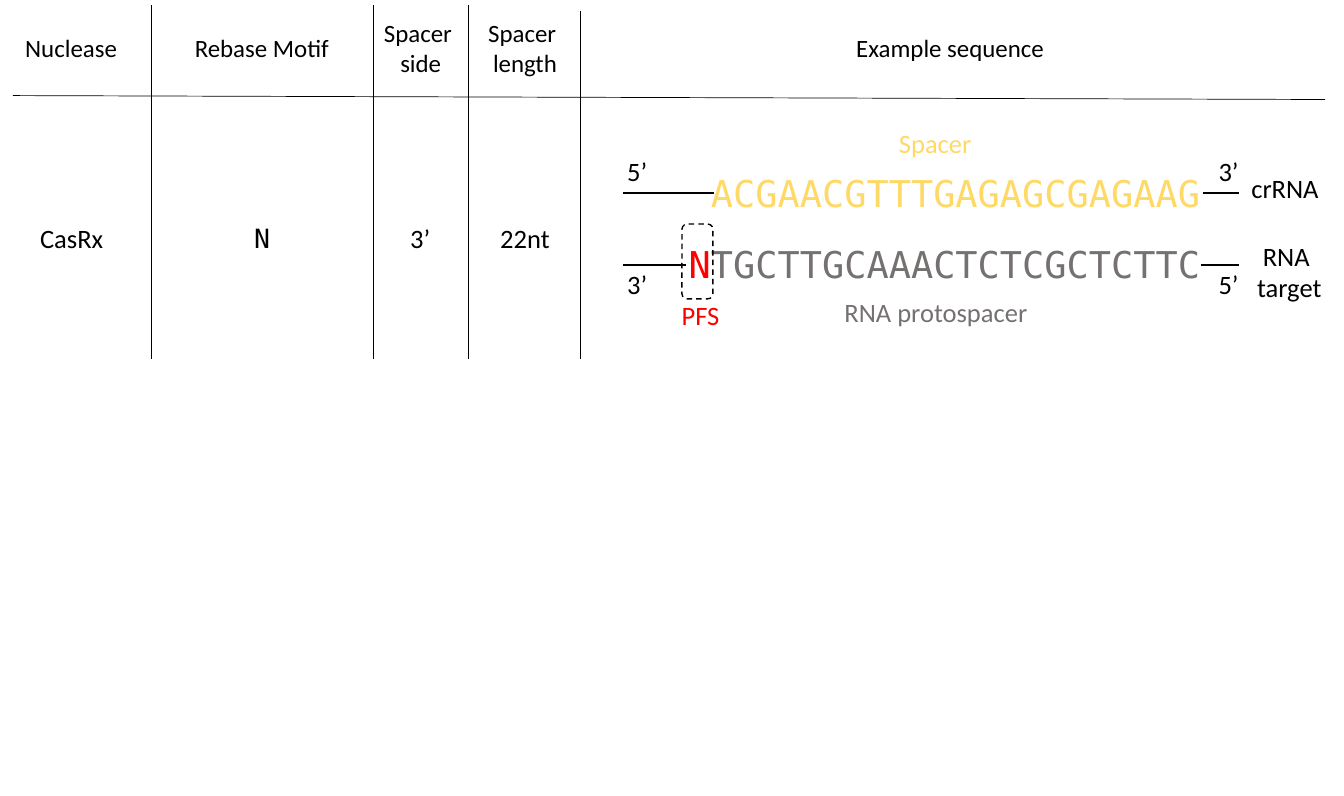
from lxml import etree
from pptx import Presentation
from pptx import util as u
from pptx.dml.color import RGBColor
from pptx.enum import dml, shapes, text
from pptx.oxml.ns import qn

BLACK = RGBColor(0x00, 0x00, 0x00)
RED = RGBColor(0xFF, 0x00, 0x00)
YELLOW = RGBColor(0xFF, 0xD9, 0x66)
GREY = RGBColor(0x76, 0x71, 0x71)

SANS, MONO = "Calibri", "DejaVu Sans Mono"
HEADER_SIZE, LABEL_SIZE, SEQUENCE_SIZE = 18, 19.2, 26.7
LINE_HEIGHT = 1.07
CENTER, LEFT = text.PP_ALIGN.CENTER, text.PP_ALIGN.LEFT


def add_label(slide, left, top, width, height, lines, size=LABEL_SIZE,
              color=BLACK, font=SANS, align=CENTER, wrap=True):
    """Add a text box; lines are joined as separate paragraphs."""
    box = slide.shapes.add_textbox(u.Cm(left), u.Cm(top), u.Cm(width), u.Cm(height))
    frame = box.text_frame
    frame.word_wrap = wrap
    frame.auto_size = text.MSO_AUTO_SIZE.SHAPE_TO_FIT_TEXT
    frame.text = lines
    for paragraph in frame.paragraphs:
        paragraph.alignment = align
        for run in paragraph.runs:
            style_run(run, size, color, font)
    return box


def style_run(run, size, color, font):
    run.font.size = u.Pt(size)
    run.font.name = font
    run.font.color.rgb = color


def add_line(slide, x1, y1, x2, y2, weight):
    line = slide.shapes.add_connector(
        shapes.MSO_CONNECTOR.STRAIGHT, u.Cm(x1), u.Cm(y1), u.Cm(x2), u.Cm(y2))
    line.line.color.rgb = BLACK
    line.line.width = u.Pt(weight)
    etree.SubElement(line._element.spPr, qn("a:effectLst"))


def add_grid(slide, left, top, width, height):
    """Draw the ruled grid with its headers and the nuclease's values."""
    # Column dividers and header rule
    for x, start in ((3.53, 0), (9.2, 0), (11.61, 0), (14.48, 0.15)):
        add_line(slide, left + x, top + start, left + x, top + height, 0.5)
    add_line(slide, left, top + 2.31, left + width, top + 2.41, 0.5)

    # Headers, centred on one height
    headers = (("Nuclease", 0.05, 2.87), ("Rebase Motif", 4.37, 3.96),
               ("Spacer \nside", 9.2, 2.41), ("Spacer \nlength", 11.86, 2.41),
               ("Example sequence", 21.23, 5.36))
    for name, x, column_width in headers:
        row_height = 1.8 if "\n" in name else 1.02
        add_label(slide, left + x, top + 1.09 - row_height / 2, column_width,
                  row_height, name, HEADER_SIZE, wrap=False)

    # Values
    values = (("CasRx", 0, 3, SANS), ("N", 4.47, 3.78, MONO),
              ("3’", 8.89, 3, SANS), ("22nt", 11.96, 2.21, SANS))
    for value, x, column_width, font in values:
        add_label(slide, left + x, top + 5.41, column_width, LINE_HEIGHT,
                  value, font=font)


def add_sequence(slide, left, top, width, lead, bases, color):
    """Add one strand: the PFS position, then the paired bases."""
    box = add_label(slide, left, top, width, 1.4, lead, SEQUENCE_SIZE, RED, MONO, LEFT)
    run = box.text_frame.paragraphs[0].add_run()
    run.text = bases
    style_run(run, SEQUENCE_SIZE, color, MONO)


def add_duplex(slide, left, top):
    """Draw the crRNA paired with its RNA target."""
    # Strands
    add_sequence(slide, left + 1.57, top + 1.1, 14.48, " ",
                 "ACGAACGTTTGAGAGCGAGAAG", YELLOW)
    add_sequence(slide, left + 1.57, top + 2.93, 14.3, "N",
                 "TGCTTGCAAACTCTCGCTCTTC", GREY)

    # Backbones on both sides of each strand
    for y, left_end, right_start in ((1.81, 2.46, 14.93), (3.64, 1.75, 14.88)):
        add_line(slide, left + 0.15, top + y, left + left_end, top + y, 1.75)
        add_line(slide, left + right_start, top + y, left + 15.87, top + y, 1.75)

    # Strand ends
    for y, left_name, right_name in ((0.72, "5’", "3’"), (3.59, "3’", "5’")):
        add_label(slide, left, top + y, 1.2, LINE_HEIGHT, left_name, align=LEFT)
        add_label(slide, left + 15.09, top + y, 3, LINE_HEIGHT, right_name, align=LEFT)

    # Names of the parts
    add_label(slide, left + 5.76, top, 4.7, LINE_HEIGHT, "Spacer", color=YELLOW)
    add_label(slide, left + 5.08, top + 4.32, 6.1, LINE_HEIGHT,
              "RNA protospacer", color=GREY)
    add_label(slide, left + 1.24, top + 4.4, 1.85, LINE_HEIGHT, " PFS",
              color=RED, align=LEFT)
    add_label(slide, left + 15.64, top + 1.15, 2.79, LINE_HEIGHT, "crRNA")
    add_label(slide, left + 15.75, top + 2.87, 2.79, 1.91, "RNA \ntarget")

    # Dashed frame around the PFS
    frame = slide.shapes.add_shape(
        shapes.MSO_SHAPE.ROUNDED_RECTANGLE, u.Cm(left + 1.65), u.Cm(top + 2.6),
        u.Cm(0.79), u.Cm(1.91))
    frame.shadow.inherit = False
    frame.fill.background()
    frame.line.color.rgb = BLACK
    frame.line.width = u.Pt(1)
    frame.line.dash_style = dml.MSO_LINE.DASH


def main():
    presentation = Presentation()
    presentation.slide_width = u.Cm(34.29)
    presentation.slide_height = u.Cm(20.32)
    slide = presentation.slides.add_slide(presentation.slide_layouts[6])
    add_grid(slide, 0.33, 0.13, 33.48, 9.04)
    add_duplex(slide, 15.75, 3.12)
    presentation.save("out.pptx")


if __name__ == "__main__":
    main()
